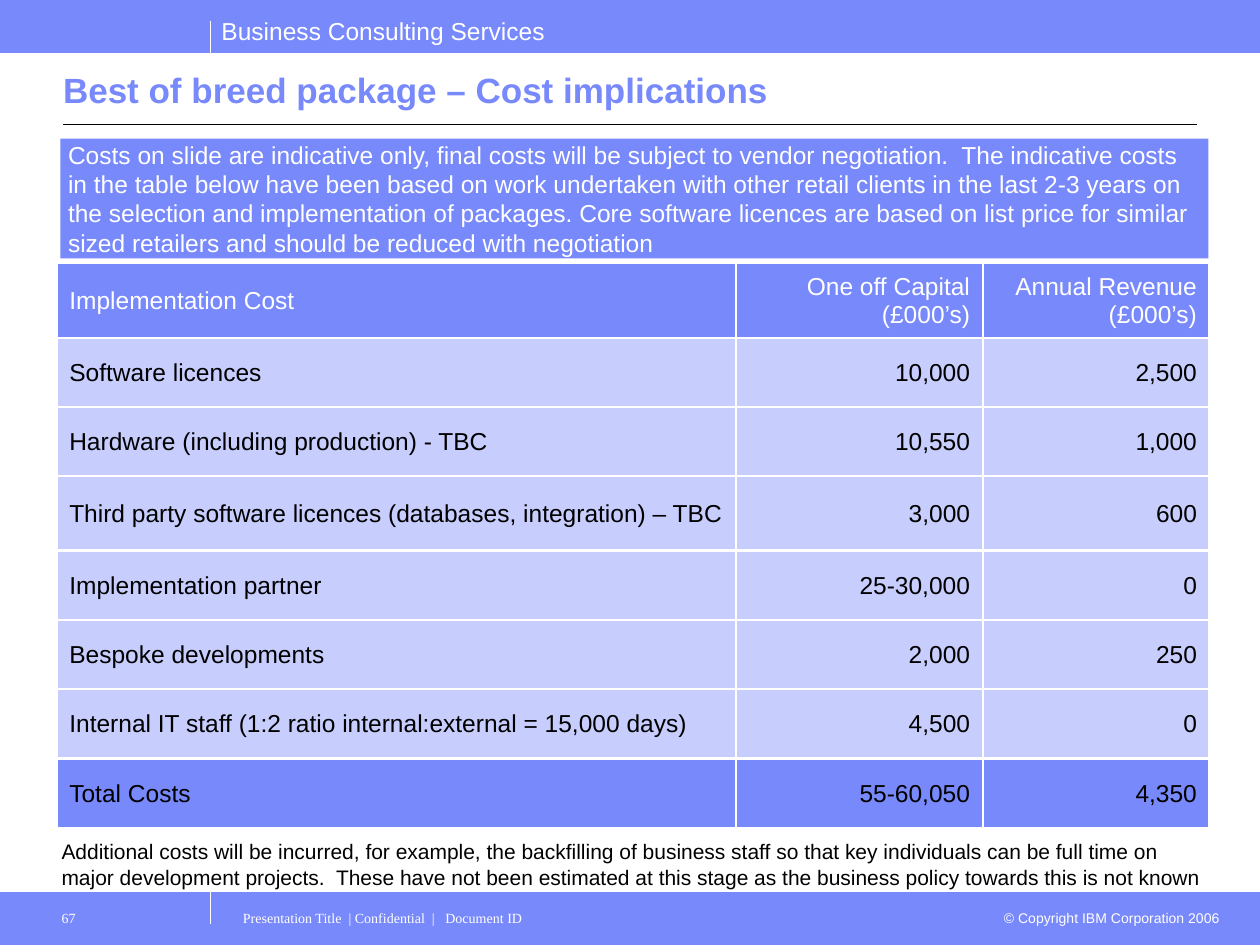
from lxml import etree
from pptx import Presentation
from pptx.dml.color import RGBColor
from pptx.enum.shapes import MSO_CONNECTOR, MSO_SHAPE
from pptx.enum.text import MSO_ANCHOR, PP_ALIGN
from pptx.oxml.ns import qn
from pptx.util import Inches, Pt

RECTANGLE, STRAIGHT = MSO_SHAPE.RECTANGLE, MSO_CONNECTOR.STRAIGHT
TOP, MIDDLE = MSO_ANCHOR.TOP, MSO_ANCHOR.MIDDLE
LEFT, RIGHT = PP_ALIGN.LEFT, PP_ALIGN.RIGHT

BLUE, PALE, WHITE, BLACK = "7889FB", "C7CDFD", "FFFFFF", "000000"
TITLE_ONLY = 5

COSTS = [
    ("Implementation Cost", "One off Capital (£000’s)", "Annual Revenue (£000’s)"),
    ("Software licences", "10,000", "2,500"),
    ("Hardware (including production) - TBC", "10,550", "1,000"),
    ("Third party software licences (databases, integration) – TBC", "3,000", "600"),
    ("Implementation partner", "25-30,000", "0"),
    ("Bespoke developments", "2,000", "250"),
    ("Internal IT staff (1:2 ratio internal:external = 15,000 days)", "4,500", "0"),
    ("Total Costs", "55-60,050", "4,350"),
]
COLUMN_WIDTHS = [5.39, 1.96, 1.8]
ROW_HEIGHTS = [0.59, 0.55, 0.55, 0.59, 0.55, 0.55, 0.55, 0.55]

BANNER = (
    "Costs on slide are indicative only, final costs will be subject to vendor "
    "negotiation.  The indicative costs in the table below have been based on work "
    "undertaken with other retail clients in the last 2-3 years on the selection and "
    "implementation of packages. Core software licences are based on list price for "
    "similar sized retailers and should be reduced with negotiation"
)
FOOTNOTE = (
    "Additional costs will be incurred, for example, the backfilling of business staff "
    "so that key individuals can be full time on major development projects.  These have "
    "not been estimated at this stage as the business policy towards this is not known"
)


def color(value):
    return RGBColor.from_string(value)


class CostSlide:
    """Holds the text style and the slide being built."""

    font = "Arial"
    footer_font = "Times New Roman"

    def __init__(self, deck):
        self.page = deck.slides.add_slide(deck.slide_layouts[TITLE_ONLY])
        self.shapes = self.page.shapes

    def set_text(self, frame, text, size, fill, align=LEFT, bold=False, font=None):
        frame.text = text
        para = frame.paragraphs[0]
        para.alignment = align
        for span in para.runs:
            span.font.name = font or self.font
            span.font.size = Pt(size)
            span.font.bold = bold
            span.font.color.rgb = color(fill)
        return para

    def set_frame(self, frame, anchor=TOP, side=0.1, top=0.05, wrap=True):
        frame.word_wrap = wrap
        frame.vertical_anchor = anchor
        frame.margin_left = frame.margin_right = Inches(side)
        frame.margin_top, frame.margin_bottom = Inches(top), Inches(0.05)

    def bar(self, left, top, width, height):
        bar = self.shapes.add_shape(
            RECTANGLE, Inches(left), Inches(top), Inches(width), Inches(height))
        bar.shadow.inherit = False
        bar.fill.solid()
        bar.fill.fore_color.rgb = color(BLUE)
        bar.line.fill.background()
        return bar

    def line(self, x1, y1, x2, y2, fill, width=0.75):
        line = self.shapes.add_connector(
            STRAIGHT, Inches(x1), Inches(y1), Inches(x2), Inches(y2))
        line.line.color.rgb = color(fill)
        line.line.width = Pt(width)
        etree.SubElement(line._element.spPr, qn("a:effectLst"))

    def title(self, text):
        title = self.shapes.title
        title.left, title.top = Inches(0.5), Inches(0.51)
        title.width, title.height = Inches(9), Inches(0.4)
        self.set_frame(title.text_frame, MIDDLE, side=0)
        self.set_text(title.text_frame, text, 20, BLUE, bold=True)

    def banner(self, text, left, top, width, height):
        frame = self.bar(left, top, width, height).text_frame
        self.set_frame(frame, MIDDLE, side=0.06)
        self.set_text(frame, text, 14, WHITE)

    def text(self, text, left, top, width, height, size, fill,
             align=LEFT, font=None, inset=0.05, wrap=True):
        box = self.shapes.add_textbox(
            Inches(left), Inches(top), Inches(width), Inches(height))
        self.set_frame(box.text_frame, top=inset, wrap=wrap)
        self.set_text(box.text_frame, text, size, fill, align, font=font)
        return box

    def cell_borders(self, cell):
        properties = cell._tc.get_or_add_tcPr()
        for index, side in enumerate(("a:lnL", "a:lnR", "a:lnT", "a:lnB")):
            border = etree.Element(qn(side), w=str(Pt(1.47)))
            solid = etree.SubElement(border, qn("a:solidFill"))
            etree.SubElement(solid, qn("a:srgbClr"), val=WHITE)
            properties.insert(index, border)

    def table(self, rows, left, top, widths, heights):
        table = self.shapes.add_table(
            len(rows), len(widths), Inches(left), Inches(top),
            Inches(sum(widths)), Inches(sum(heights))).table
        for column, width in zip(table.columns, widths):
            column.width = Inches(width)
        for row, height in zip(table.rows, heights):
            row.height = Inches(height)
        last = len(rows) - 1
        for r, values in enumerate(rows):
            for c, value in enumerate(values):
                cell = table.cell(r, c)
                cell.vertical_anchor = MIDDLE
                cell.fill.solid()
                cell.fill.fore_color.rgb = color(BLUE if r in (0, last) else PALE)
                para = self.set_text(cell.text_frame, value, 14,
                                     BLACK if r else WHITE, RIGHT if c else LEFT)
                para.line_spacing = 1.04
                self.cell_borders(cell)


def main():
    deck = Presentation()
    deck.slide_width, deck.slide_height = Inches(10), Inches(7.5)
    slide = CostSlide(deck)

    # Header and footer bands
    for band_top, edge, divider_top in ((7.08, 7.08, 7.08), (0, 0.42, 0.17)):
        slide.bar(0, band_top, 10, 0.42)
        slide.line(0, edge, 10, edge, BLUE, 0.5)
        slide.line(1.67, divider_top + 0.25, 1.67, divider_top, WHITE)
    slide.text("Business Consulting Services", 1.66, 0.08, 2.77, 0.34, 14, WHITE,
               wrap=False)
    slide.text("© Copyright IBM Corporation 2006", 7.83, 7.17, 1.95, 0.24, 8, WHITE,
               RIGHT)

    # Title and rule
    slide.title("Best of breed package – Cost implications")
    slide.line(0.5, 0.99, 9.5, 0.99, BLACK)

    # Banner, cost table and footnote
    slide.banner(BANNER, 0.48, 1.1, 9.11, 0.95)
    slide.table(COSTS, 0.45, 2.09, COLUMN_WIDTHS, ROW_HEIGHTS)
    slide.text(FOOTNOTE, 0.39, 6.61, 9.3, 0.5, 12, BLACK)

    # Footer details
    slide.text("Presentation Title  | Confidential  |   Document ID",
               1.83, 7.15, 6, 0.35, 8, WHITE, font=slide.footer_font, inset=0.07)
    number = slide.text("67", 0.33, 7.15, 1.33, 0.35, 8, WHITE,
                        font=slide.footer_font, inset=0.07)
    number.text_frame.margin_left = Inches(0.16)

    deck.save("out.pptx")


if __name__ == "__main__":
    main()
